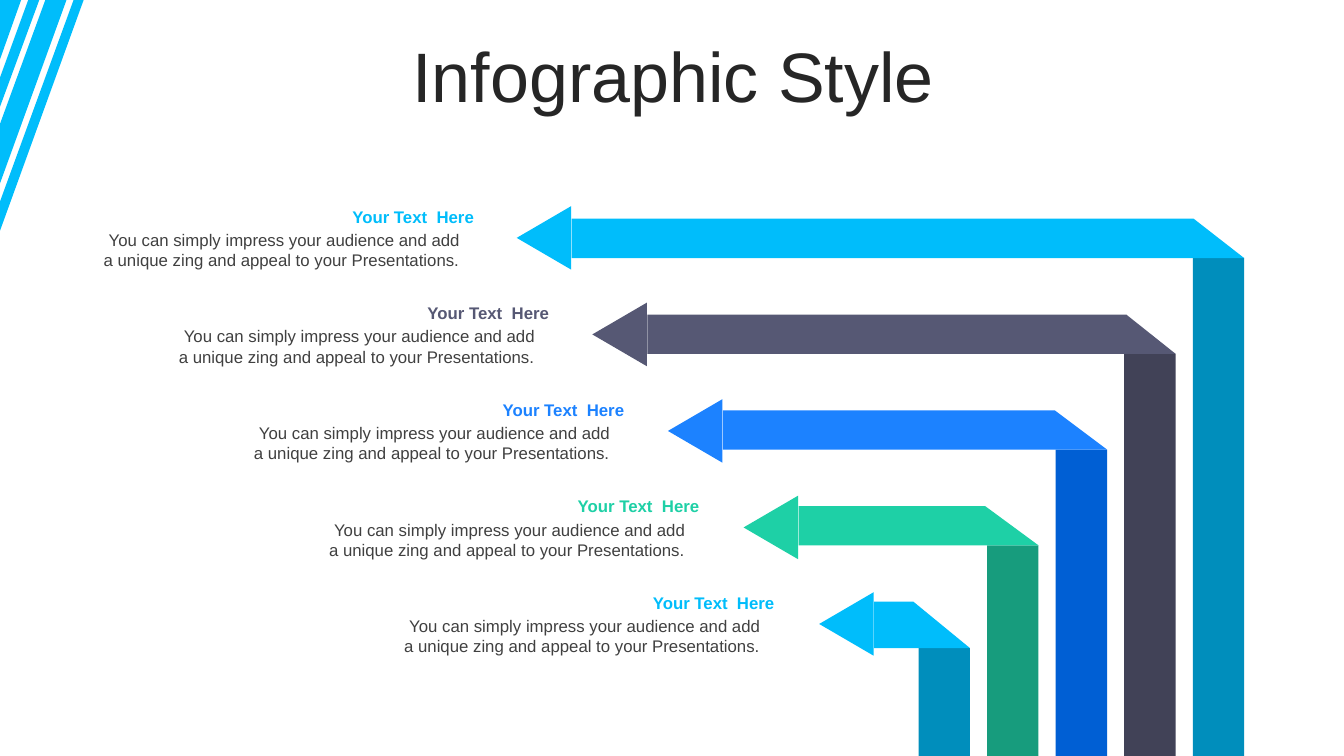
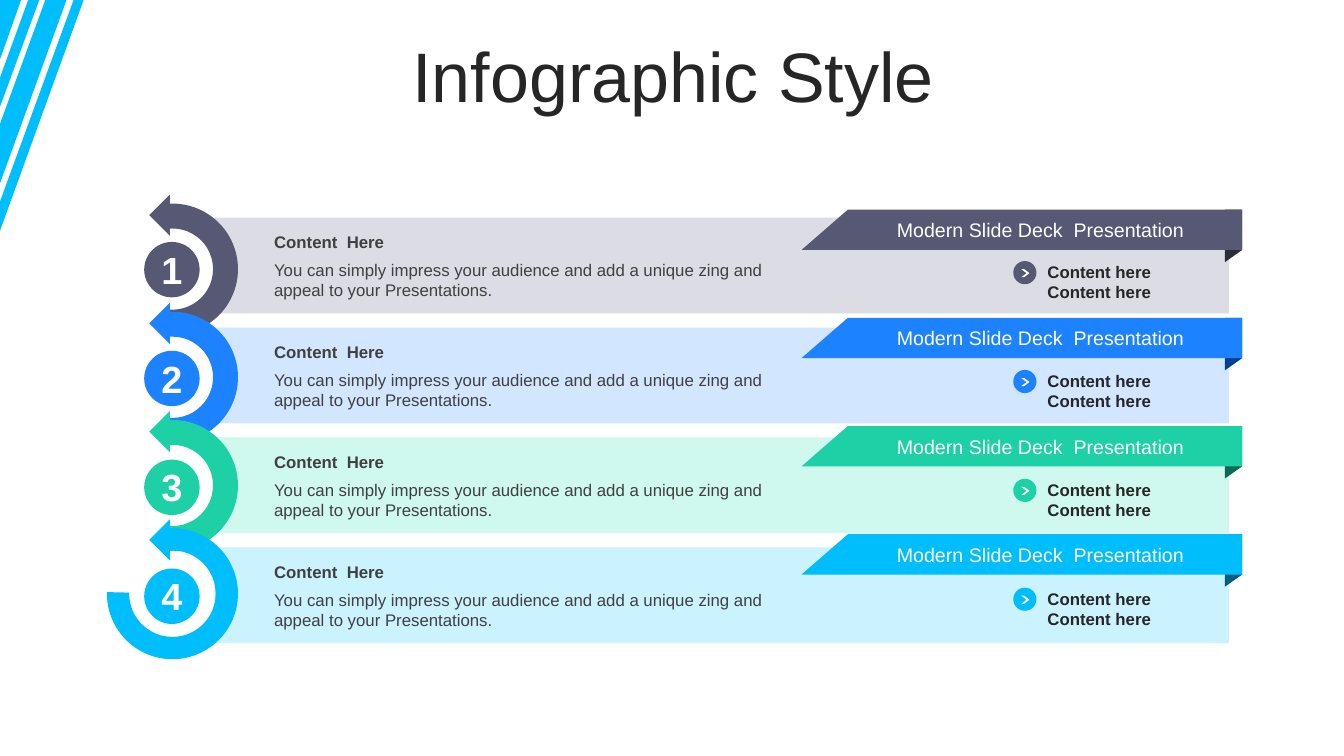
from pptx import Presentation
from pptx.dml.color import RGBColor
from pptx.enum import shapes, text
from pptx.util import Inches, Pt

# ---- Shared style ----
WIDTH, HEIGHT = 13.33, 7.5
FONT = "Arial"
COLORS = {
    "sky": "00BDFB", "sky_side": "008EBC", "sky_fold": "005E7E", "sky_tint": "CBF2FF",
    "slate": "565874", "slate_side": "414257", "slate_fold": "2B2C3A", "slate_tint": "DCDCE5",
    "blue": "1C82FF", "blue_side": "005FD4", "blue_fold": "00408E", "blue_tint": "D2E6FF",
    "green": "1ED0A6", "green_side": "179C7D", "green_fold": "0F6853", "green_tint": "CFF8EF",
    "white": "FFFFFF", "title": "262626", "body": "404040",
}
STRIPES = [
    [(0.73, 0), (0.83, 0), (0, 2.29), (0, 2)],
    [(0.39, 0), (0, 1.06), (0, 0.77), (0.28, 0)],
    [(0.66, 0), (0, 1.82), (0, 1.23), (0.45, 0)],
    [(0, 0), (0.21, 0), (0, 0.59)],
]

# ---- Content ----
TITLE = "Infographic Style"
BLURB = ("You can simply impress your audience and add a unique zing "
         "and appeal to your Presentations.")
ARROW_HEADING = "Your Text  Here"
ARROWS = [  # colour, ribbon depth, width of the slanted corner
    ("sky", 0.39, 0.5),
    ("slate", 0.39, 0.49),
    ("blue", 0.39, 0.52),
    ("green", 0.39, 0.53),
    ("sky", 0.46, 0.56),
]
STEP_HEADING = "Content  Here"
STEP_BANNER = "Modern Slide Deck  Presentation"
STEP_POINTS = "Content here\nContent here"
HALF_RING, LONG_RING = (104.73, 2.03, 0.19), (104.73, 54.83, 0.17)
STEPS = [("slate", HALF_RING), ("blue", HALF_RING),
         ("green", HALF_RING), ("sky", LONG_RING)]


# ---- Drawing helpers ----
def paint(shape, color):
    shape.shadow.inherit = False
    shape.fill.solid()
    shape.fill.fore_color.rgb = RGBColor.from_string(COLORS[color])
    shape.line.fill.background()
    return shape


def add_preset(page, kind, left, top, width, height, color, turn=0, adjust=()):
    shape = page.shapes.add_shape(kind, Inches(left), Inches(top), Inches(width), Inches(height))
    shape.rotation = turn
    for index, value in enumerate(adjust):
        shape.adjustments[index] = value
    return paint(shape, color)


def add_outline(page, polygons, color):
    scaled = [[(Inches(x), Inches(y)) for x, y in polygon] for polygon in polygons]
    builder = page.shapes.build_freeform(*scaled[0][0])
    for index, (start, *rest) in enumerate(scaled):
        if index:
            builder.move_to(*start)
        builder.add_line_segments(rest, close=True)
    return paint(builder.convert_to_shape(), color)


def add_text(page, content, left, top, width, height, size=12, color="body", bold=False,
             align="LEFT", anchor="TOP", spacing=None, margin=0, indent=0):
    box = page.shapes.add_textbox(Inches(left), Inches(top), Inches(width), Inches(height))
    frame = box.text_frame
    frame.word_wrap = True
    frame.vertical_anchor = text.MSO_ANCHOR[anchor]
    frame.text = content
    for para in frame.paragraphs:
        para.alignment = text.PP_ALIGN[align]
        if spacing:
            para.line_spacing = spacing
        if margin:
            props = para._p.get_or_add_pPr()
            props.set("marL", str(Inches(margin)))
            props.set("indent", str(Inches(indent)))
        for span in para.runs:
            span.font.name = FONT
            span.font.size = Pt(size)
            span.font.bold = bold
            span.font.color.rgb = RGBColor.from_string(COLORS[color])


def add_page(deck):
    page = deck.slides.add_slide(deck.slide_layouts[6])
    add_text(page, TITLE, 0.35, 0.42, 12.66, 0.79, size=50, color="title",
             align="CENTER", anchor="MIDDLE", spacing=0.8)
    return page


def add_corner_stripes(deck, page):
    # Draw once, then hand the stripes to the layout that all pages share
    stripes = add_outline(page, STRIPES, "sky")
    deck.slide_layouts[6].shapes._spTree.append(stripes._element)


# ---- Page 1: folded arrows ----
def draw_arrows(page):
    kind = shapes.MSO_SHAPE
    column_width, column_step = 0.51, 0.68
    for row, (color, depth, corner) in enumerate(ARROWS):
        shift, drop = 0.75 * row, 3.83 / 4 * row
        column_left = 11.83 - column_step * row
        right = column_left + column_width
        top = 2.17 + 0.95 * row
        fold = top + depth

        add_preset(page, kind.RECTANGLE, column_left, fold, column_width, HEIGHT - fold,
                   color + "_side")
        add_outline(page, [[(5.67 + shift, top), (right - corner, top),
                            (right, fold), (5.67 + shift, fold)]], color)
        add_preset(page, kind.ISOSCELES_TRIANGLE, 5.08 + shift, 2.09 + drop, 0.63, 0.54,
                   color, turn=270)

        text_left = 0.65 + 2.98 / 4 * row
        add_text(page, BLURB, text_left, 2.23 + drop, 4.15, 0.5, margin=0.28, indent=0.05)
        add_text(page, ARROW_HEADING, text_left, 2 + drop, 4.15, 0.3,
                 color=color, bold=True, align="RIGHT")


# ---- Page 2: numbered steps ----
def draw_steps(page):
    kind = shapes.MSO_SHAPE
    panel_step, disc_step, banner_step = 1.09, 1.08, 3.22 / 3

    # Panels lie under everything else
    for row, (color, _) in enumerate(STEPS):
        add_preset(page, kind.RECTANGLE, 2.13, 2.16 + panel_step * row, 10.06, 0.95,
                   color + "_tint")

    for row, (color, ring) in enumerate(STEPS):
        panel, disc, banner = (step * row for step in (panel_step, disc_step, banner_step))

        # Number inside a curved arrow
        add_preset(page, kind.OVAL, 1.43, 2.4 + disc, 0.55, 0.55, color)
        add_text(page, str(row + 1), 1.48, 2.39 + disc, 0.45, 0.56, size=27, color="white",
                 bold=True, align="CENTER", anchor="MIDDLE")
        add_preset(page, kind.BLOCK_ARC, 1.06, 2.02 + banner, 1.3, 1.3, color,
                   turn=90, adjust=ring)
        add_preset(page, kind.RIGHT_TRIANGLE, 1.54, 1.99 + banner, 0.29, 0.29, color, turn=45)

        # Heading and description
        add_text(page, BLURB, 2.62, 2.53 + panel, 5.25, 0.5)
        add_text(page, STEP_HEADING, 2.62, 2.25 + panel, 5.25, 0.3, bold=True)

        # Banner with its folded end
        top = 2.08 + banner
        bottom = top + 0.4
        add_outline(page, [[(12.15, top), (12.32, top), (12.32, bottom),
                            (12.15, bottom + 0.12)]], color + "_fold")
        add_outline(page, [[(12.32, top), (8.41, top), (7.95, bottom), (12.32, bottom)]], color)
        add_text(page, STEP_BANNER, 8.73, top + 0.03, 3.18, 0.34, size=14, color="white",
                 align="CENTER", anchor="MIDDLE")

        # Points beside a chevron badge
        add_preset(page, kind.OVAL, 10.05, 2.59 + disc, 0.23, 0.23, color)
        add_preset(page, kind.CHEVRON, 10.13, 2.67 + disc, 0.08, 0.08, "white", adjust=(0.65,))
        add_text(page, STEP_POINTS, 10.29, 2.55 + disc, 1.38, 0.5, color="title", bold=True,
                 anchor="MIDDLE")


def main():
    deck = Presentation()
    deck.slide_width, deck.slide_height = Inches(WIDTH), Inches(HEIGHT)
    arrows_page, steps_page = add_page(deck), add_page(deck)
    add_corner_stripes(deck, arrows_page)
    draw_arrows(arrows_page)
    draw_steps(steps_page)
    deck.save("out.pptx")


if __name__ == "__main__":
    main()
